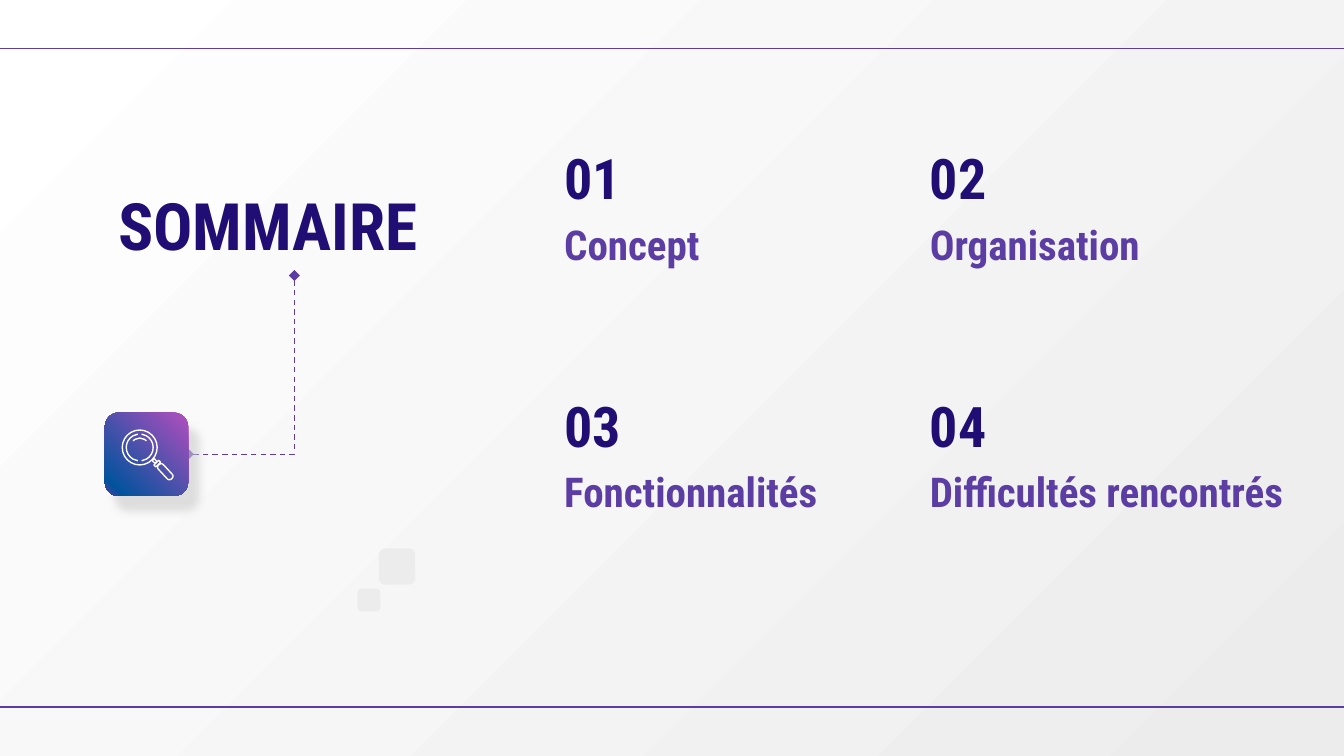
from dataclasses import dataclass

from lxml import etree
from pptx import Presentation
from pptx.dml.color import RGBColor
from pptx.enum.dml import MSO_LINE
from pptx.enum.shapes import MSO_CONNECTOR, MSO_SHAPE
from pptx.enum.text import MSO_ANCHOR
from pptx.oxml.ns import qn
from pptx.util import Inches, Pt

STRAIGHT, ELBOW = MSO_CONNECTOR.STRAIGHT, MSO_CONNECTOR.ELBOW
ROUNDED, OVAL, ARC = MSO_SHAPE.ROUNDED_RECTANGLE, MSO_SHAPE.OVAL, MSO_SHAPE.ARC
TOP, BOTTOM = MSO_ANCHOR.TOP, MSO_ANCHOR.BOTTOM
DASH = MSO_LINE.DASH


@dataclass(frozen=True)
class Theme:
    font: str = "Roboto Condensed"
    navy: str = "200E74"
    purple: str = "5C3DA4"
    pink: str = "B24EBE"
    blue: str = "01539D"
    pale: str = "ECECEC"
    white: str = "FFFFFF"
    shadow: str = "CCCCCC"
    title_size: float = 35
    number_size: float = 30
    topic_size: float = 22
    line_width: float = 0.75


@dataclass(frozen=True)
class Box:
    left: float
    top: float
    width: float
    height: float

    def lengths(self) -> list:
        return [Inches(v) for v in (self.left, self.top, self.width, self.height)]


@dataclass(frozen=True)
class Topic:
    number: str
    name: str
    width: float = 2.4


THEME = Theme()
PAGE_WIDTH = 10
PAGE_HEIGHT = PAGE_WIDTH * 9 / 16
TOPICS = [
    Topic("01", "Concept"),
    Topic("02", "Organisation"),
    Topic("03", "Fonctionnalités"),
    Topic("04", "Difficultés rencontrés", 2.87),
]


def add_node(parent, tag: str, **attributes):
    return etree.SubElement(parent, qn(tag), attributes)


def set_gradient(fill, owner, stops: list, clockwise: int) -> None:
    fill.gradient()
    fill.gradient_angle = 360 - clockwise
    stop_list = next(owner.iter(qn("a:gsLst")))
    for stop in list(stop_list):
        stop_list.remove(stop)
    for percent, color in stops:
        stop = add_node(stop_list, "a:gs", pos=str(percent * 1000))
        add_node(stop, "a:srgbClr", val=color)


def add_text(page, box: Box, text: str, size: float, color: str, anchor=BOTTOM) -> None:
    frame = page.shapes.add_textbox(*box.lengths()).text_frame
    frame.word_wrap = True
    frame.vertical_anchor = anchor
    frame.margin_left = frame.margin_right = Inches(0.1)
    frame.margin_top = frame.margin_bottom = Inches(0.1)
    span = frame.paragraphs[0].add_run()
    span.text = text
    span.font.name = THEME.font
    span.font.size = Pt(size)
    span.font.bold = True
    span.font.color.rgb = RGBColor.from_string(color)


def add_line(page, kind, x1: float, y1: float, x2: float, y2: float):
    line = page.shapes.add_connector(kind, Inches(x1), Inches(y1), Inches(x2), Inches(y2))
    line.line.color.rgb = RGBColor.from_string(THEME.purple)
    line.line.width = Pt(THEME.line_width)
    add_node(line._element.spPr, "a:effectLst")
    return line


def add_solid(page, box: Box):
    shape = page.shapes.add_shape(ROUNDED, *box.lengths())
    shape.shadow.inherit = False
    shape.fill.solid()
    shape.fill.fore_color.rgb = RGBColor.from_string(THEME.pale)
    shape.line.fill.background()
    return shape


def add_outline(page, kind, x: float, y: float, width: float, height: float, turn: float = 0):
    """Draw a white outline centred on x, y."""
    box = Box(x - width / 2, y - height / 2, width, height)
    shape = page.shapes.add_shape(kind, *box.lengths())
    shape.shadow.inherit = False
    shape.fill.background()
    shape.line.color.rgb = RGBColor.from_string(THEME.white)
    shape.line.width = Pt(THEME.line_width)
    shape.rotation = turn
    return shape


def add_arc(page, x: float, y: float, radius: float, start: int, end: int) -> None:
    arc = add_outline(page, ARC, x, y, 2 * radius, 2 * radius)
    # Adjustments count in 100000ths, angles in 60000ths of a degree
    arc.adjustments[0] = start * 0.6
    arc.adjustments[1] = end * 0.6


def add_bent_link(page) -> None:
    link = add_line(page, ELBOW, 1.13, 2.32, 2.46, 3.11)
    link.line.dash_style = DASH
    properties = link._element.spPr
    properties.find(qn("a:prstGeom")).set("prst", "bentConnector2")
    properties.find(qn("a:xfrm")).set("rot", str(90 * 60000))
    outline = properties.find(qn("a:ln"))
    for end in ("a:headEnd", "a:tailEnd"):
        add_node(outline, end, type="diamond")


def add_tile(page) -> None:
    tile = add_solid(page, Box(0.78, 3.07, 0.62, 0.62))
    stops = [(0, THEME.pink), (89, THEME.blue), (100, THEME.purple)]
    set_gradient(tile.fill, tile._element, stops, 135)
    effects = tile._element.spPr.find(qn("a:effectLst"))
    shadow = add_node(effects, "a:outerShdw", blurRad=str(Pt(4.5)), dist=str(Pt(9.8)),
                      dir=str(55 * 60000), algn="bl", rotWithShape="0")
    color = add_node(shadow, "a:srgbClr", val=THEME.shadow)
    add_node(color, "a:alpha", val="60000")


def add_magnifier(page) -> None:
    x, y = 1.04, 3.33
    add_outline(page, OVAL, x, y, 0.26, 0.26)
    for radius, start, end in [(0.1, 278, 82), (0.1, 98, 262), (0.07, 225, 315)]:
        add_arc(page, x, y, radius, start, end)
    add_outline(page, ROUNDED, 1.15, 3.43, 0.03, 0.02, 45)
    add_outline(page, ROUNDED, 1.17, 3.45, 0.02, 0.05, 45)
    grip = add_outline(page, ROUNDED, 1.23, 3.51, 0.14, 0.05, 47)
    grip.adjustments[0] = 0.4


def main() -> None:
    deck = Presentation()
    deck.slide_width, deck.slide_height = Inches(PAGE_WIDTH), Inches(PAGE_HEIGHT)
    page = deck.slides.add_slide(deck.slide_layouts[6])

    # Background and horizontal rules
    set_gradient(page.background.fill, page._element,
                 [(0, THEME.white), (100, THEME.pale)], 45)
    for y in (0.36, 5.26):
        add_line(page, STRAIGHT, 0, y, PAGE_WIDTH, y)

    # Title
    add_text(page, Box(0.78, 1.28, 2.82, 0.77), "SOMMAIRE",
             THEME.title_size, THEME.navy, TOP)

    # Topics in a grid of two columns
    for index, topic in enumerate(TOPICS):
        row, column = divmod(index, 2)
        left, top = 4.1 + 2.72 * column, 0.99 + 1.84 * row
        add_text(page, Box(left, top, 2.4, 0.68), topic.number,
                 THEME.number_size, THEME.navy)
        add_text(page, Box(left, top + 0.68, topic.width, 0.43), topic.name,
                 THEME.topic_size, THEME.purple)

    # Pale squares
    for square in (Box(2.82, 4.08, 0.27, 0.27), Box(2.66, 4.38, 0.17, 0.17)):
        add_solid(page, square)

    # Icon linked to the title
    add_bent_link(page)
    add_tile(page)
    add_magnifier(page)

    deck.save("out.pptx")


if __name__ == "__main__":
    main()
